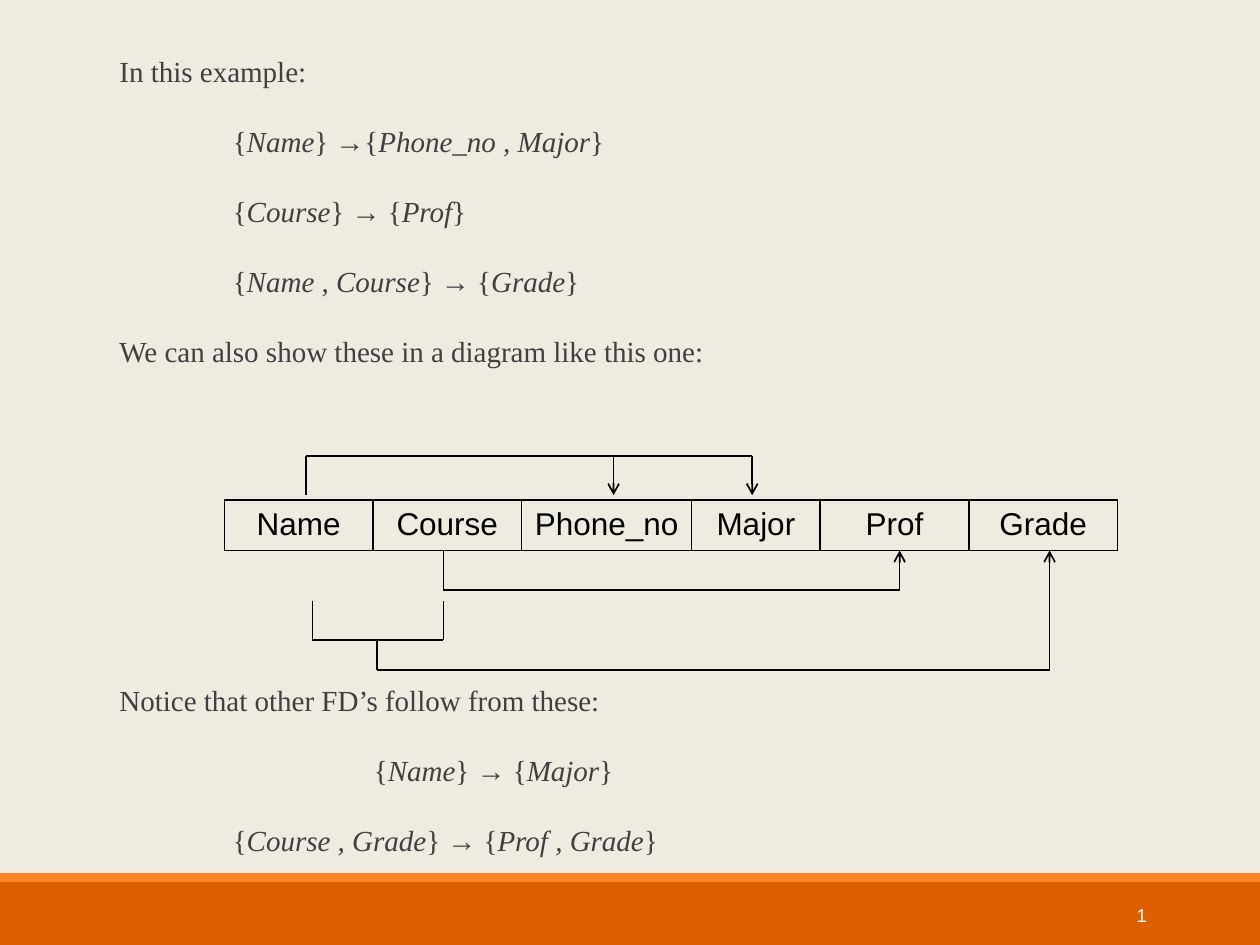
from lxml import etree
from pptx import Presentation
from pptx.dml.color import RGBColor
from pptx.enum.shapes import MSO_CONNECTOR, MSO_SHAPE
from pptx.enum.text import MSO_ANCHOR, PP_ALIGN
from pptx.oxml.ns import qn
from pptx.util import Inches, Pt

CREAM = RGBColor(0xEE, 0xEC, 0xE1)
ORANGE = RGBColor(0xDC, 0x5F, 0x00)
LIGHT_ORANGE = RGBColor(0xFF, 0x84, 0x27)
GREY = RGBColor(0x40, 0x40, 0x40)
BLACK = RGBColor(0, 0, 0)
WHITE = RGBColor(0xFF, 0xFF, 0xFF)
STRAIGHT, RECT = MSO_CONNECTOR.STRAIGHT, MSO_SHAPE.RECTANGLE
CENTER, RIGHT, MIDDLE = PP_ALIGN.CENTER, PP_ALIGN.RIGHT, MSO_ANCHOR.MIDDLE
COLUMNS, ROWS = 100, 75


class Deck:
    serif, sans = "Times New Roman", "Arial"

    def __init__(self, width, height):
        self.prs = Presentation()
        self.prs.slide_width, self.prs.slide_height = Inches(width), Inches(height)
        self.s = self.prs.slides.add_slide(self.prs.slide_layouts[6])
        self.s.background.fill.solid()
        self.s.background.fill.fore_color.rgb = CREAM

    def grid(self, *values):
        """Turn alternating columns and rows into slide lengths."""
        units = (self.prs.slide_width / COLUMNS, self.prs.slide_height / ROWS)
        return [round(v * units[i % 2]) for i, v in enumerate(values)]

    def style(self, font, name, size, color, italic=False):
        font.name, font.size, font.italic = name, Pt(size), italic
        font.color.rgb = color

    def bar(self, box, color):
        sp = self.s.shapes.add_shape(RECT, *self.grid(*box))
        sp.shadow.inherit = False
        sp.fill.solid()
        sp.fill.fore_color.rgb = color
        sp.line.fill.background()

    def text(self, box, lines):
        """Each line is (indent in columns, text with *italic* parts)."""
        tf = self.s.shapes.add_textbox(*self.grid(*box)).text_frame
        tf.word_wrap = True
        for i, (indent, line) in enumerate(lines):
            p = tf.paragraphs[0] if i == 0 else tf.add_paragraph()
            p.line_spacing, p.space_after = Pt(26), Pt(14)
            p._p.get_or_add_pPr().set("marL", str(self.grid(indent)[0]))
            for j, part in enumerate(line.split("*")):
                r = p.add_run()
                r.text = part
                self.style(r.font, self.serif, 16.6, GREY, j % 2 == 1)

    def slide_number(self, box, number):
        tf = self.s.shapes.add_textbox(*self.grid(*box)).text_frame
        tf.word_wrap, tf.vertical_anchor = True, MIDDLE
        p = tf.paragraphs[0]
        p.text, p.alignment = number, RIGHT
        self.style(p.runs[0].font, self.sans, 10.5, WHITE)
        # Make the run a live slide-number field
        r = p.runs[0]._r
        r.tag = qn("a:fld")
        r.set("id", "{B6F15528-21DE-4FAA-801E-634DDDAF4B2B}")
        r.set("type", "slidenum")

    def table(self, left, top, height, widths, labels):
        box = self.grid(left, top, sum(widths), height)
        tbl = self.s.shapes.add_table(1, len(labels), *box).table
        tbl.first_row = tbl.horz_banding = False
        for col, width, cell, label in zip(tbl.columns, widths, tbl.rows[0].cells, labels):
            col.width = self.grid(width)[0]
            cell.text = label
            p = cell.text_frame.paragraphs[0]
            p.alignment = CENTER
            self.style(p.runs[0].font, self.sans, 18, BLACK)
            for side in ("a:lnL", "a:lnR", "a:lnT", "a:lnB"):
                ln = etree.SubElement(cell._tc.get_or_add_tcPr(), qn(side), w=str(Pt(1)))
                fill = etree.SubElement(ln, qn("a:solidFill"))
                etree.SubElement(fill, qn("a:srgbClr"), val=str(BLACK))
            cell.fill.background()

    def route(self, points, arrow=False):
        """Join the points with lines; the last one may carry an arrowhead."""
        for i in range(len(points) - 1):
            c = self.s.shapes.add_connector(STRAIGHT, *self.grid(*points[i], *points[i + 1]))
            c.line.color.rgb, c.line.width = BLACK, Pt(1)
            etree.SubElement(c._element.spPr, qn("a:effectLst"))
            if arrow and i == len(points) - 2:
                etree.SubElement(c.line._get_or_add_ln(), qn("a:tailEnd"), type="arrow")


deck = Deck(10, 7.5)

# Footer bars and slide number
deck.bar((0, 70, 100, 5), ORANGE)
deck.bar((0, 69.3, 100, 0.7), LIGHT_ORANGE)
deck.slide_number((81.2, 70.6, 10.8, 4), "8")

# Text above and below the diagram
deck.text((7.5, 2.9, 90, 28), [
    (1, "In this example:"),
    (10, "{*Name*} →{*Phone_no , Major*}"),
    (10, "{*Course*} → {*Prof*}"),
    (10, "{*Name , Course*} → {*Grade*}"),
    (1, "We can also show these in a diagram like this one:"),
])
deck.text((7.5, 52.8, 90, 17), [
    (1, "Notice that other FD’s follow from these:"),
    (21.2, "{*Name*} → {*Major*}"),
    (10, "{*Course , Grade*} → {*Prof , Grade*}"),
])

# Relation schema
deck.table(17.8, 39.7, 3.9, [11.8, 11.8, 13.5, 10.2, 11.8, 11.8],
           ["Name", "Course", "Phone_no", "Major", "Prof", "Grade"])

# Dependencies: Name above; Course, then Name with Course, below
name, course, phone, major, prof, grade = 24.3, 35.2, 48.7, 59.7, 71.4, 83.3
pair_left, pair_mid = 24.8, 29.9
above, below = 39.3, 43.7
deck.route([(name, above), (name, 36.2), (major, 36.2), (major, above)], arrow=True)
deck.route([(phone, 36.2), (phone, above)], arrow=True)
deck.route([(course, below), (course, 46.8), (prof, 46.8), (prof, below)], arrow=True)
deck.route([(pair_left, 47.7), (pair_left, 50.8), (course, 50.8), (course, 47.7)])
deck.route([(pair_mid, 50.8), (pair_mid, 53.2), (grade, 53.2), (grade, below)], arrow=True)

deck.prs.save("out.pptx")
